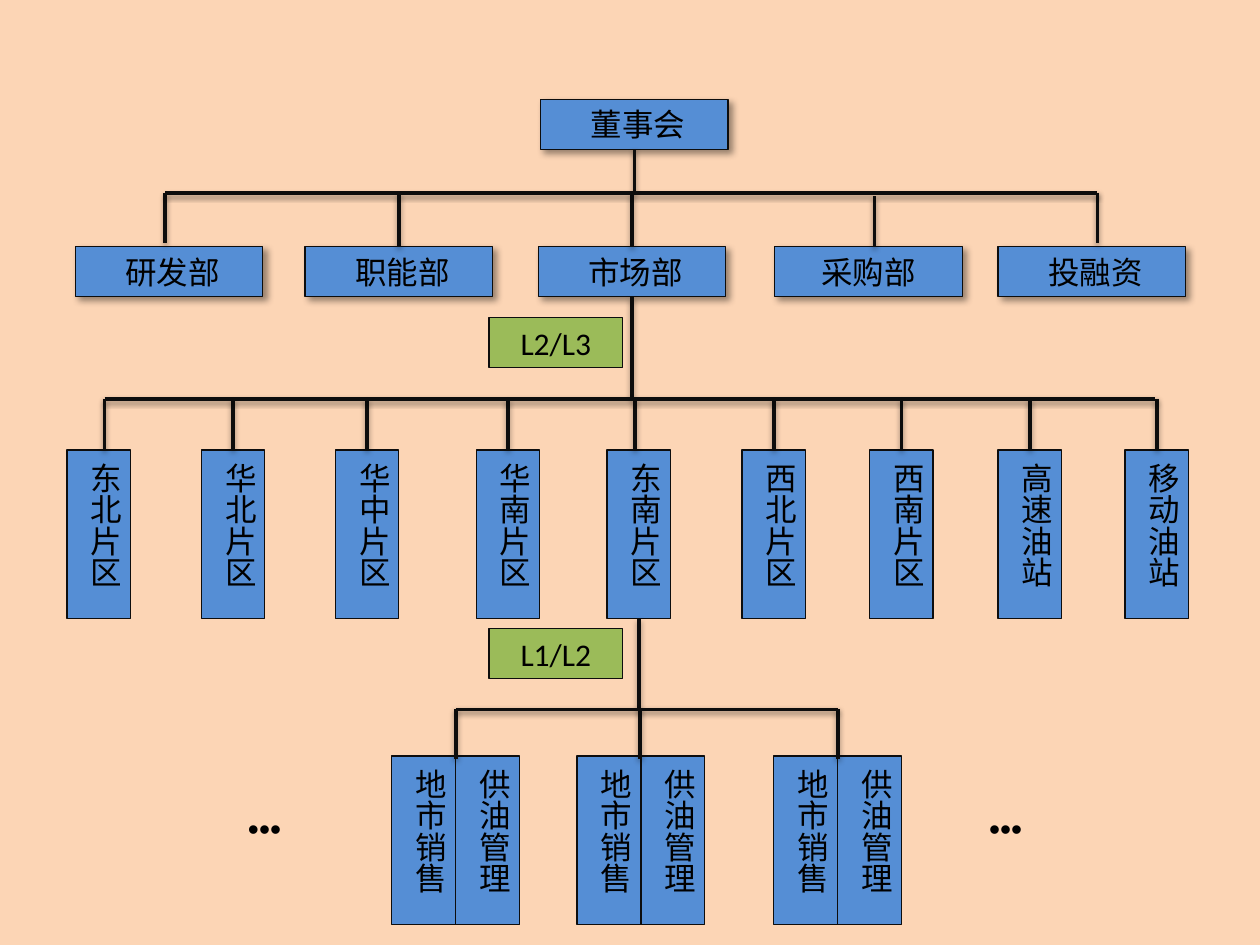
import pptx
import pptx.util
import pptx.oxml
import pptx.dml.color
import pptx.enum.shapes
import pptx.enum.text
import pptx.oxml.ns

Cm, Pt = pptx.util.Cm, pptx.util.Pt
HUES = {"back": "FCD5B5", "box": "558ED5", "tag": "9BBB59",
        "line": "0D0D0D", "text": "000000"}
NEAR = Cm(0.06)

# Left edge, text and stem position of each box, in cm
DEPTS = [(1.52, " 研发部", 3.33), (6.15, " 职能部", 8.08), (10.85, " 市场部", 12.8),
         (15.62, "采购部", 17.63), (20.12, " 投融资", 22.12)]
AREAS = [(1.35, "东北片区", 2.11), (4.06, "华北片区", 4.75), (6.76, "华中片区", 7.34),
         (9.6, "华南片区", 10.29), (12.24, "东南片区", 12.8), (14.96, "西北片区", 15.62),
         (17.53, "西南片区", 18.19), (20.12, "高速油站", 20.73), (22.68, "移动油站", 23.29)]
TEAMS = [(7.9, 9.19), (11.63, 12.9), (15.6, 16.89)]
TRUNK = 12.8
DEPT_BAR, AREA_BAR, TEAM_BAR = 3.89, 8.04, 14.3


def rgb(name):
    return pptx.dml.color.RGBColor.from_string(HUES[name])


class Chart:
    def __init__(self, slide):
        self.slide = slide
        fill = slide.background.fill
        fill.solid()
        fill.fore_color.rgb = rgb("back")

    def shade(self, shape, blur, dist, angle, alpha):
        """Add an outer shadow; lengths in points, alpha in percent."""
        props = shape._element.spPr
        for old in props.findall(pptx.oxml.ns.qn("a:effectLst")):
            props.remove(old)
        props.append(pptx.oxml.parse_xml(
            f'<a:effectLst {pptx.oxml.ns.nsdecls("a")}>'
            f'<a:outerShdw blurRad="{Pt(blur)}" dist="{Pt(dist)}" dir="{angle * 60000}"'
            f' algn="tl" rotWithShape="0"><a:srgbClr val="000000">'
            f'<a:alpha val="{alpha * 1000}"/></a:srgbClr></a:outerShdw></a:effectLst>'))

    def label(self, shape, text, font, align):
        frame = shape.text_frame
        frame.word_wrap = True
        frame.vertical_anchor = pptx.enum.text.MSO_ANCHOR.TOP
        frame.auto_size = pptx.enum.text.MSO_AUTO_SIZE.SHAPE_TO_FIT_TEXT
        para = frame.paragraphs[0]
        para.text = text
        para.alignment = align
        para.font.name = font
        para.font.size = Pt(18)
        para.font.color.rgb = rgb("text")

    def box(self, x, y, text, wide=3.78, high=1.01, hue="box"):
        shape = self.slide.shapes.add_shape(
            pptx.enum.shapes.MSO_SHAPE.RECTANGLE, Cm(x), Cm(y), Cm(wide), Cm(high))
        shape.shadow.inherit = False
        shape.fill.solid()
        shape.fill.fore_color.rgb = rgb(hue)
        shape.line.color.rgb = rgb("line")
        shape.line.width = Pt(0.75)
        self.label(shape, text, "Calibri", pptx.enum.text.PP_ALIGN.CENTER)
        return shape

    def unit(self, x, y, text):
        shape = self.box(x, y, text)
        self.shade(shape, 4, 3, 45, 40)
        return shape

    def tall(self, x, y, text):
        shape = self.box(x, y, text, 1.28, 3.4)
        shape.text_frame._txBody.bodyPr.set("vert", "eaVert")
        return shape

    def tag(self, y, text):
        self.box(9.86, y, text, 2.69, hue="tag")

    def dots(self, x):
        shape = self.slide.shapes.add_textbox(Cm(x), Cm(16.18), Cm(2.26), Cm(1.01))
        self.label(shape, "•••", "Arial", pptx.enum.text.PP_ALIGN.LEFT)

    def line(self, x1, y1, x2, y2):
        link = self.slide.shapes.add_connector(
            pptx.enum.shapes.MSO_CONNECTOR.STRAIGHT, Cm(x1), Cm(y1), Cm(x2), Cm(y2))
        link.line.color.rgb = rgb("line")
        link.line.width = Pt(2)
        self.shade(link, 3.1, 1.6, 90, 38)
        return link

    def stem(self, x, y1, y2, above=None, below=None):
        """Draw a vertical line, joined to a box whose middle it meets."""
        link = self.line(x, y1, x, y2)
        for box, join, site in ((above, link.begin_connect, 2), (below, link.end_connect, 0)):
            if box is None:
                continue
            mid = box.left + box.width // 2
            if abs(mid - Cm(x)) <= NEAR:
                link.begin_x = link.end_x = mid
                join(box, site)

    def bar(self, x1, x2, y):
        self.line(x1, y, x2, y)


def main():
    deck = pptx.Presentation()
    deck.slide_width, deck.slide_height = Cm(25.4), Cm(19.05)
    org = Chart(deck.slides.add_slide(deck.slide_layouts[6]))

    board = org.unit(10.9, 2, " 董事会")
    depts = [org.unit(x, 4.97, text) for x, text, _ in DEPTS]
    areas = [org.tall(x, 9.07, text) for x, text, _ in AREAS]
    for x, _ in TEAMS:
        org.tall(x, 15.24, "地市销售")
        org.tall(x + 1.29, 15.24, "供油管理")

    org.stem(TRUNK, 3.01, DEPT_BAR, above=board)
    for (_, text, x), box in zip(DEPTS, depts):
        drop = 0.07 if text == "采购部" else 0
        org.stem(x, DEPT_BAR + drop, 4.9 + drop, below=box)
    org.bar(DEPTS[0][2], DEPTS[-1][2], DEPT_BAR)

    org.stem(TRUNK, 5.98, AREA_BAR, above=depts[2])
    for (_, _, x), box in zip(AREAS, areas):
        org.stem(x, AREA_BAR, 9.07, below=box)
    org.bar(AREAS[0][2], AREAS[-1][2], AREA_BAR)

    org.stem(12.88, 12.47, TEAM_BAR, above=areas[4])
    for _, x in TEAMS:
        org.stem(x, TEAM_BAR, 15.3)
    org.bar(TEAMS[0][1], TEAMS[-1][1], TEAM_BAR)

    org.tag(12.67, "L1/L2")
    org.tag(6.4, "L2/L3")
    org.dots(19.69)
    org.dots(4.75)
    deck.save("out.pptx")


if __name__ == "__main__":
    main()
